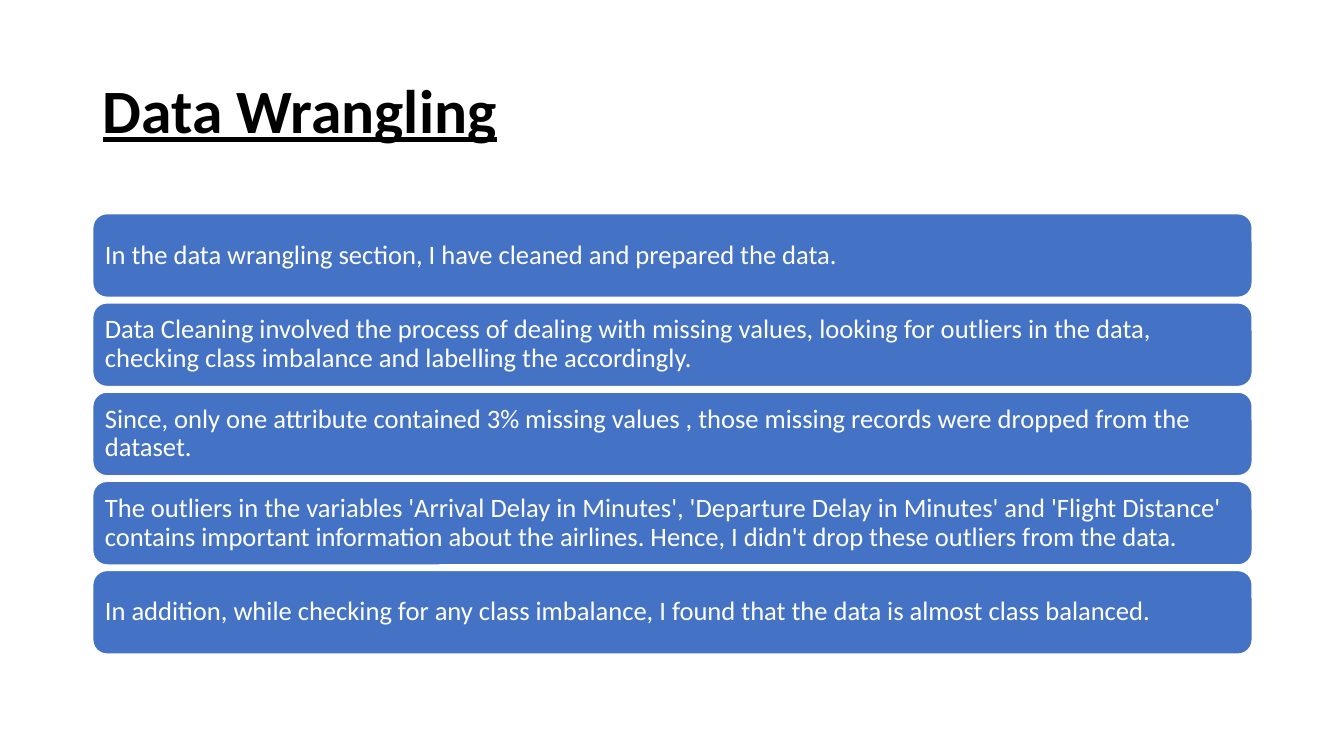
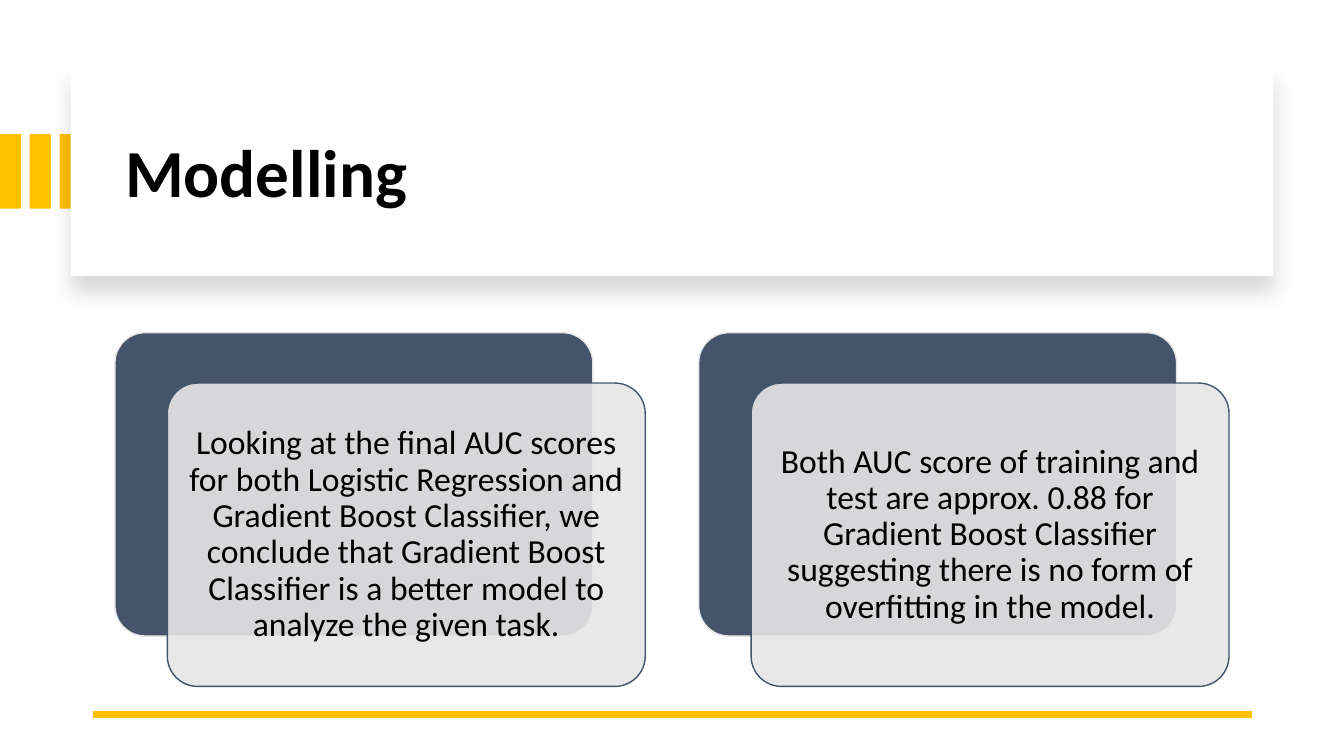
from lxml.etree import SubElement
from pptx import Presentation
from pptx.dml.color import RGBColor
from pptx.enum.shapes import MSO_CONNECTOR, MSO_SHAPE
from pptx.enum.text import MSO_ANCHOR, MSO_AUTO_SIZE, PP_ALIGN
from pptx.oxml.ns import qn
from pptx.util import Inches, Pt

COLORS = {
    "white": "FFFFFF", "black": "000000", "blue": "4472C4",
    "gold": "FFC000", "slate": "44546A", "mist": "E7E6E6",
}
FONT = "Calibri"
MARGIN = 0.92
CONTENT_WIDTH = 11.5

WRANGLING_STEPS = [
    "In the data wrangling section, I have cleaned and prepared the data.",
    "Data Cleaning involved the process of dealing with missing values, looking for outliers "
    "in the data, checking class imbalance and labelling the accordingly.",
    "Since, only one attribute contained 3% missing values , those missing records were "
    "dropped from the dataset.",
    "The outliers in the variables 'Arrival Delay in Minutes', 'Departure Delay in Minutes' "
    "and 'Flight Distance' contains important information about the airlines. Hence, I didn't "
    "drop these outliers from the data.",
    "In addition, while checking for any class imbalance, I found that the data is almost "
    "class balanced.",
]
MODEL_FINDINGS = [
    "Looking at the final AUC scores for both Logistic Regression and Gradient Boost "
    "Classifier, we conclude that Gradient Boost Classifier is a better model to analyze "
    "the given task.",
    "Both AUC score of training and test are approx. 0.88 for Gradient Boost Classifier "
    "suggesting there is no form of overfitting in the model.",
]


def color(name):
    return RGBColor.from_string(COLORS[name])


class Slides:
    def __init__(self):
        self.deck = Presentation()
        self.deck.slide_width, self.deck.slide_height = Inches(13.33), Inches(7.5)
        self.page = None

    def new_page(self):
        self.page = self.deck.slides.add_slide(self.deck.slide_layouts[5])

    def set_text(self, box, text, size, ink, align=PP_ALIGN.LEFT, **font_options):
        frame = box.text_frame
        frame.text = text
        frame.word_wrap = True
        frame.auto_size = MSO_AUTO_SIZE.NONE
        frame.vertical_anchor = MSO_ANCHOR.MIDDLE
        para = frame.paragraphs[0]
        para.alignment = align
        para.line_spacing = 0.9
        font = para.runs[0].font
        font.name, font.size, font.color.rgb = FONT, Pt(size), color(ink)
        for option, value in font_options.items():
            setattr(font, option, value)

    def title(self, text, left, top, width, height, size, underline=False):
        """Fill the title placeholder and bring it in front of what is drawn so far."""
        box = self.page.shapes.title
        box.left, box.top = Inches(left), Inches(top)
        box.width, box.height = Inches(width), Inches(height)
        self.set_text(box, text, size, "black", bold=True, underline=underline)
        self.page.shapes.element.append(box.element)

    def block(self, left, top, width, height, fill, outline=None, corner=None, opacity=None):
        """Draw a rectangle, rounded when a corner ratio is given."""
        preset = MSO_SHAPE.ROUNDED_RECTANGLE if corner else MSO_SHAPE.RECTANGLE
        box = self.page.shapes.add_shape(
            preset, Inches(left), Inches(top), Inches(width), Inches(height))
        box.shadow.inherit = False
        if corner:
            box.adjustments[0] = corner
        box.fill.solid()
        box.fill.fore_color.rgb = color(fill)
        if opacity:
            fill_color = box.element.spPr.find(qn("a:solidFill")).find(qn("a:srgbClr"))
            SubElement(fill_color, qn("a:alpha"), val=str(opacity * 1000))
        if outline:
            box.line.color.rgb = color(outline)
            box.line.width = Pt(1)
        else:
            box.line.fill.background()
        return box

    def text_block(self, text, size, ink, inset, align, *place, **style):
        box = self.block(*place, **style)
        frame = box.text_frame
        frame.margin_left = frame.margin_right = Inches(inset)
        frame.margin_top = frame.margin_bottom = Inches(inset)
        self.set_text(box, text, size, ink, align)

    def raised_panel(self, left, top, width, height):
        panel = self.block(left, top, width, height, "white")
        effects = panel.element.spPr.find(qn("a:effectLst"))
        shadow = SubElement(effects, qn("a:outerShdw"), blurRad=str(Pt(15)),
                            dist=str(Pt(11)), dir="5400000", algn="t", rotWithShape="0")
        shade = SubElement(shadow, qn("a:srgbClr"), val=COLORS["black"])
        SubElement(shade, qn("a:alpha"), val="15000")

    def rule(self, left, top, width):
        line = self.page.shapes.add_connector(
            MSO_CONNECTOR.STRAIGHT, Inches(left), Inches(top), Inches(left + width), Inches(top))
        line.line.color.rgb = color("gold")
        line.line.width = Pt(4.5)
        SubElement(line.element.spPr, qn("a:effectLst"))


def data_wrangling(slides):
    slides.new_page()
    slides.title("Data Wrangling", MARGIN, 0.4, CONTENT_WIDTH, 1.45, 44, underline=True)
    first_top, last_top = 2.12, 5.66
    pitch = (last_top - first_top) / (len(WRANGLING_STEPS) - 1)
    for index, step in enumerate(WRANGLING_STEPS):
        slides.text_block(step, 19, "white", 0.08, PP_ALIGN.LEFT,
                          MARGIN, first_top + index * pitch, CONTENT_WIDTH, 0.83,
                          fill="blue", outline="white", corner=0.17)


def modelling(slides):
    slides.new_page()
    for index in range(3):
        slides.block(index * 0.59 / 2, 1.33, 0.21, 0.74, "gold")
    slides.raised_panel(0.7, 0.67, 11.93, 2.07)
    slides.title("Modelling", 1.14, 0.89, 11.13, 1.7, 48)
    slides.rule(MARGIN, 7.09, CONTENT_WIDTH)
    width, height, top = 4.74, 3.01, 3.3
    for index, finding in enumerate(MODEL_FINDINGS):
        left = 1.14 + index * 5.79
        slides.block(left, top, width, height, "slate", outline="mist", corner=0.1)
        slides.text_block(finding, 24, "black", 0.1, PP_ALIGN.CENTER,
                          left + 0.52, top + 0.5, width, height,
                          fill="mist", outline="slate", corner=0.1, opacity=90)


def main():
    slides = Slides()
    data_wrangling(slides)
    modelling(slides)
    slides.deck.save("out.pptx")


if __name__ == "__main__":
    main()
